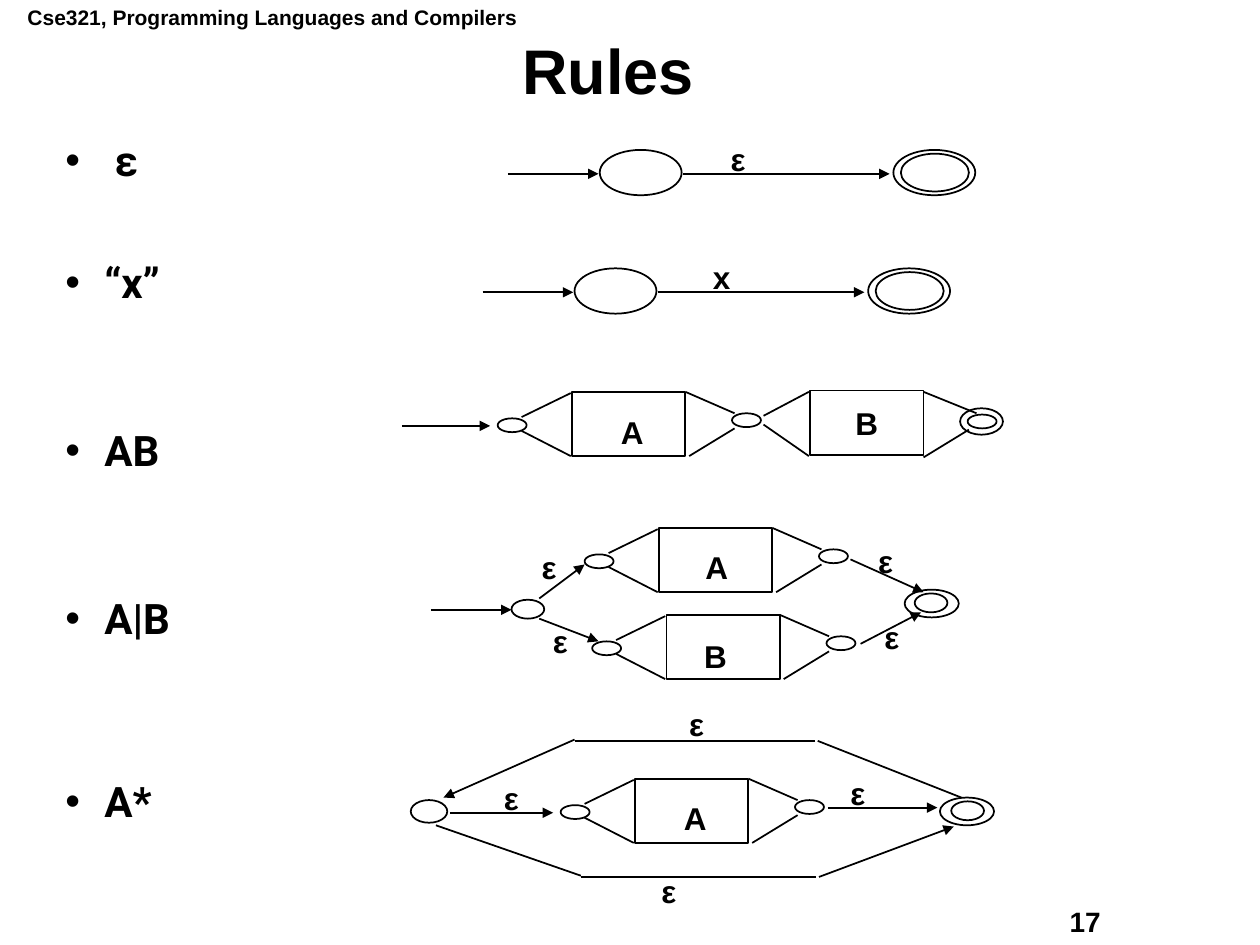
from typing import NamedTuple

from lxml import etree
from pptx import Presentation
from pptx.dml.color import RGBColor
from pptx.enum.shapes import MSO_CONNECTOR, MSO_SHAPE
from pptx.enum.text import MSO_ANCHOR, MSO_AUTO_SIZE, PP_ALIGN
from pptx.oxml.ns import qn
from pptx.shapes.shapetree import GroupShapes
from pptx.util import Pt

OVAL, RECTANGLE = MSO_SHAPE.OVAL, MSO_SHAPE.RECTANGLE
STRAIGHT = MSO_CONNECTOR.STRAIGHT
LEFT, CENTER = PP_ALIGN.LEFT, PP_ALIGN.CENTER
TOP, MIDDLE = MSO_ANCHOR.TOP, MSO_ANCHOR.MIDDLE
FIT_SHAPE, FIXED = MSO_AUTO_SIZE.SHAPE_TO_FIT_TEXT, MSO_AUTO_SIZE.NONE
BLACK, WHITE = "000000", "FFFFFF"
EMU_PER_PX = 9144  # 100 px to the inch


class Box(NamedTuple):
    left: int
    top: int
    width: int
    height: int


class Line(NamedTuple):
    x1: int
    y1: int
    x2: int
    y2: int
    arrow: bool = False


class Label(NamedTuple):
    text: str
    left: int
    top: int


class Machine(NamedTuple):
    """A sub-automaton: a box between two small states."""
    name: str
    left: int
    top: int
    label_dx: int
    label_dy: int


class Rule(NamedTuple):
    text: str
    space_before: int


def px(value: int) -> int:
    return value * EMU_PER_PX


def emu(box: Box) -> list[int]:
    return [px(value) for value in box]


def color(value: str) -> RGBColor:
    return RGBColor.from_string(value)


def write(paragraph, text: str, *, size=18, font="Arial", align=LEFT, spacing=1.0):
    paragraph.text = text
    paragraph.alignment = align
    paragraph.line_spacing = spacing
    paragraph.font.size = Pt(size)
    paragraph.font.name = font
    paragraph.font.bold = True
    paragraph.font.color.rgb = color(BLACK)


def add_text(shapes, text: str, box: Box, *, wrap=True, anchor=TOP, **text_format):
    frame = shapes.add_textbox(*emu(box)).text_frame
    frame.word_wrap = wrap
    frame.auto_size = FIXED if wrap else FIT_SHAPE
    frame.vertical_anchor = anchor
    write(frame.paragraphs[0], text, **text_format)


def add_label(shapes: GroupShapes, label: Label):
    width = 32 if label.text == "ε" else 38
    add_text(shapes, label.text, Box(label.left, label.top, width, 40), wrap=False)


def add_outline(shapes: GroupShapes, kind, box: Box, text: str = ""):
    shape = shapes.add_shape(kind, *emu(box))
    shape.shadow.inherit = False
    shape.fill.solid()
    shape.fill.fore_color.rgb = color(WHITE)
    shape.line.color.rgb = color(BLACK)
    shape.line.width = Pt(1)
    if text:
        write(shape.text_frame.paragraphs[0], text, align=CENTER)


def add_line(shapes: GroupShapes, line: Line):
    connector = shapes.add_connector(STRAIGHT, *[px(value) for value in line[:4]])
    connector.line.color.rgb = color(BLACK)
    connector.line.width = Pt(1)
    if line.arrow:
        outline = connector.line._get_or_add_ln()
        etree.SubElement(outline, qn("a:tailEnd"), type="triangle")
    etree.SubElement(connector._element.spPr, qn("a:effectLst"))


def add_final_state(shapes: GroupShapes, outer: Box, inner: Box):
    add_outline(shapes, OVAL, outer)
    add_outline(shapes, OVAL, inner)


def add_details(shapes: GroupShapes, lines: list[Line], labels: list[Label]):
    for line in lines:
        add_line(shapes, line)
    for label in labels:
        add_label(shapes, label)


def add_transition(shapes: GroupShapes, x: int, y: int, label: Label):
    add_outline(shapes, OVAL, Box(x, y, 65, 36))
    add_final_state(shapes, Box(x + 233, y, 65, 36), Box(x + 239, y + 3, 54, 30))
    middle = y + 19
    add_details(shapes, [Line(x + 66, middle, x + 230, middle, True),
                         Line(x - 73, middle, x - 1, middle, True)], [label])


def add_machine(shapes: GroupShapes, machine: Machine):
    x, y = machine.left, machine.top
    add_outline(shapes, RECTANGLE, Box(x, y, 90, 51))
    add_outline(shapes, OVAL, Box(x - 59, y + 21, 23, 11))
    add_outline(shapes, OVAL, Box(x + 127, y + 17, 23, 11))
    slants = [(90, 0, 129, 17), (93, 51, 129, 29), (-40, 20, -1, 1), (-40, 31, -1, 51)]
    add_details(shapes,
                [Line(x + x1, y + y1, x + x2, y + y2) for x1, y1, x2, y2 in slants],
                [Label(machine.name, x + machine.label_dx, y + machine.label_dy)])


def add_concatenation(shapes: GroupShapes):
    add_final_state(shapes, Box(762, 324, 34, 21), Box(768, 329, 23, 11))
    add_machine(shapes, Machine("A", 454, 311, 29, 12))
    add_outline(shapes, RECTANGLE, Box(643, 310, 90, 51), "B")
    add_details(shapes, [
        Line(642, 311, 606, 330), Line(642, 362, 606, 337),
        Line(733, 311, 775, 328), Line(733, 363, 769, 341),
        Line(319, 338, 389, 338, True)], [])


def add_alternation(shapes: GroupShapes):
    add_final_state(shapes, Box(718, 468, 43, 22), Box(726, 471, 26, 15))
    add_machine(shapes, Machine("A", 523, 419, 27, 11))
    add_machine(shapes, Machine("B", 529, 488, 20, 13))
    add_outline(shapes, OVAL, Box(406, 476, 26, 15))
    add_details(shapes, [
        Line(428, 475, 464, 448, True), Line(428, 491, 475, 509, True),
        Line(675, 444, 733, 470, True), Line(683, 511, 731, 486, True),
        Line(342, 484, 406, 484, True),
    ], [Label("ε", 420, 430), Label("ε", 429, 489),
        Label("ε", 687, 425), Label("ε", 692, 486)])


def add_repetition(shapes: GroupShapes):
    add_machine(shapes, Machine("A", 504, 618, 29, 11))
    add_outline(shapes, OVAL, Box(326, 635, 29, 18))
    add_final_state(shapes, Box(746, 633, 43, 22), Box(755, 636, 26, 15))
    add_details(shapes, [
        Line(357, 645, 439, 645, True), Line(657, 641, 744, 641, True),
        Line(763, 633, 649, 588), Line(647, 588, 456, 588), Line(456, 587, 352, 633, True),
        Line(346, 655, 461, 695), Line(461, 696, 648, 696), Line(650, 696, 757, 656, True),
    ], [Label("ε", 537, 555), Label("ε", 515, 687),
        Label("ε", 390, 613), Label("ε", 665, 609)])


def add_rules(shapes, rules: list[Rule]):
    frame = shapes.add_textbox(*emu(Box(42, 106, 303, 612))).text_frame
    frame.word_wrap = True
    for index, rule in enumerate(rules):
        paragraph = frame.add_paragraph() if index else frame.paragraphs[0]
        properties = paragraph._p.get_or_add_pPr()
        properties.set("marL", str(px(31)))
        properties.set("indent", str(px(-31)))
        etree.SubElement(properties, qn("a:buFont"), typeface="Arial")
        etree.SubElement(properties, qn("a:buChar"), char="•")
        write(paragraph, rule.text, size=24, font="Roboto", spacing=0.9)
        paragraph.space_before = Pt(rule.space_before)


def main():
    presentation = Presentation()
    presentation.slide_width, presentation.slide_height = px(1000), px(750)
    slide = presentation.slides.add_slide(presentation.slide_layouts[6])
    shapes = slide.shapes

    # Header, page number, title and list of rules
    add_text(shapes, "Cse321, Programming Languages and Compilers",
             Box(12, -1, 420, 30), size=12)
    add_text(shapes, "17", Box(839, 713, 127, 36), size=16)
    add_text(shapes, "Rules", Box(31, 31, 903, 56), anchor=MIDDLE,
             size=36, align=CENTER, spacing=0.9)
    add_rules(shapes, [Rule(" ε", 0), Rule("“x”", 44), Rule("AB", 70),
                       Rule("A|B", 70), Rule("A*", 79)])

    # One grouped automaton for each rule
    for x, y, label in [(476, 119, Label("ε", 570, 106)), (456, 213, Label("x", 556, 200))]:
        add_transition(shapes.add_group_shape().shapes, x, y, label)
    for draw in (add_concatenation, add_alternation, add_repetition):
        draw(shapes.add_group_shape().shapes)

    presentation.save("out.pptx")


if __name__ == "__main__":
    main()
